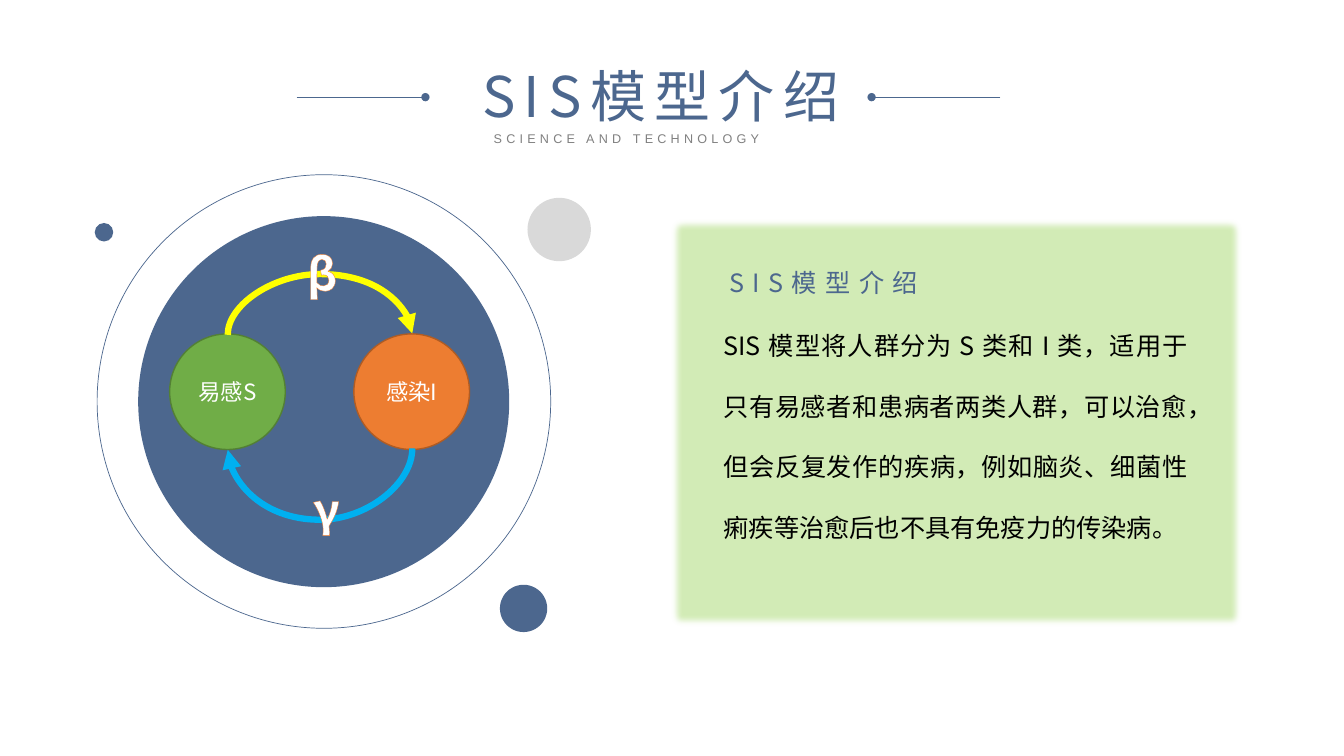
from lxml import etree
from pptx import Presentation
from pptx.dml.color import RGBColor
from pptx.enum.shapes import MSO_CONNECTOR, MSO_SHAPE
from pptx.enum.text import MSO_ANCHOR, PP_ALIGN
from pptx.oxml.ns import qn
from pptx.util import Pt

RECTANGLE, OVAL = MSO_SHAPE.RECTANGLE, MSO_SHAPE.OVAL
STRAIGHT, CURVE = MSO_CONNECTOR.STRAIGHT, MSO_CONNECTOR.CURVE
LEFT, CENTER, JUSTIFY = PP_ALIGN.LEFT, PP_ALIGN.CENTER, PP_ALIGN.JUSTIFY
TOP, MIDDLE = MSO_ANCHOR.TOP, MSO_ANCHOR.MIDDLE
CJK = "Noto Sans CJK SC"
COLORS = {
    "navy": "4C678E", "grey": "808080", "silver": "D9D9D9", "lime": "92D050",
    "green": "70AD47", "green edge": "538035", "orange": "ED7D31",
    "orange edge": "AF5C24", "yellow": "FFFF00", "blue": "00B0F0",
    "white": "FFFFFF", "black": "000000",
}


def color(name):
    return RGBColor.from_string(COLORS[name])


def write(shape, text, size, ink, align=CENTER, face=CJK, spacing=0, bold=False):
    """Put one formatted paragraph into a shape and return its run."""
    para = shape.text_frame.paragraphs[0]
    para.alignment = align
    span = para.add_run()
    span.text = text
    for name, value in {"size": Pt(size), "name": face, "bold": bold}.items():
        setattr(span.font, name, value)
    span.font.color.rgb = color(ink)
    properties = span.font._element
    properties.set("spc", str(spacing * 100))
    etree.SubElement(properties, qn("a:ea"), typeface=face)
    return span


deck = Presentation()
deck.slide_width, deck.slide_height = Pt(960), Pt(540)
page = deck.slides.add_slide(deck.slide_layouts[5])
shapes = page.shapes

# Title
title = shapes.title
place = {"left": 288, "top": 40.3, "width": 368, "height": 55.7}
for name, value in place.items():
    setattr(title, name, Pt(value))
frame_format = {"vertical_anchor": TOP, "word_wrap": True}
for name, value in frame_format.items():
    setattr(title.text_frame, name, value)
write(title, "SIS模型介绍", 40, "navy", spacing=6)

# Panel behind the description
panel = shapes.add_shape(RECTANGLE, Pt(477.4), Pt(154.8), Pt(411.1), Pt(294.5))
panel.shadow.inherit = False
panel.fill.solid()
panel.fill.fore_color.rgb = color("lime")
panel.line.fill.background()
panel_color = panel._element.spPr.find(".//" + qn("a:srgbClr"))
etree.SubElement(panel_color, qn("a:alpha"), val="41000")
panel_effects = panel._element.spPr.find(qn("a:effectLst"))
etree.SubElement(panel_effects, qn("a:softEdge"), rad="63500")

# Circles: left, top, diameter, fill, line, line width, label
circles = [
    (69.4, 124.8, 324, None, "navy", 0.5, ""),
    (98.7, 154.4, 265, "navy", None, 0, ""),
    (376.8, 141.3, 45.3, "silver", None, 0, ""),
    (67.7, 159.3, 13.2, "navy", None, 0, ""),
    (357.1, 417.7, 33.8, "navy", None, 0, ""),
    (121.2, 238.5, 82.6, "green", "green edge", 1, "易感S"),
    (252.8, 238.5, 82.6, "orange", "orange edge", 1, "感染I"),
]
for left, top, diameter, fill, edge, width, label in circles:
    circle = shapes.add_shape(OVAL, Pt(left), Pt(top), Pt(diameter), Pt(diameter))
    circle.shadow.inherit = False
    if fill:
        circle.fill.solid()
        circle.fill.fore_color.rgb = color(fill)
    else:
        circle.fill.background()
    if edge:
        circle.line.color.rgb = color(edge)
        circle.line.width = Pt(width)
    else:
        circle.line.fill.background()
    if label:
        circle.text_frame.vertical_anchor = MIDDLE
        write(circle, label, 16, "white")

# Title rules and transition arcs: an arc is a 1 pt wide curve turned by 90°,
# and its bulge is given in hundred-thousandths of that width
connectors = [
    (STRAIGHT, (211.9, 69.4, 303.9, 69.4), "navy", 0.5, "oval", None),
    (STRAIGHT, (714.5, 69.4, 622.6, 69.4), "navy", 0.5, "oval", None),
    (CURVE, (229.1, 304.6, 228.1, 172.8), "yellow", 4.5, "triangle", 4376800),
    (CURVE, (228.1, 254.9, 229.1, 386.7), "blue", 4.5, "triangle", 5134700),
]
for kind, ends, ink, width, head, bulge in connectors:
    connector = shapes.add_connector(kind, *[Pt(value) for value in ends])
    connector.line.color.rgb = color(ink)
    connector.line.width = Pt(width)
    properties = connector._element.spPr
    etree.SubElement(properties.find(qn("a:ln")), qn("a:tailEnd"), type=head)
    etree.SubElement(properties, qn("a:effectLst"))
    if bulge:
        properties.find(qn("a:xfrm")).set("rot", "5400000")
        guides = properties.find(qn("a:prstGeom")).find(qn("a:avLst"))
        etree.SubElement(guides, qn("a:gd"), name="adj1", fmla=f"val {bulge}")

# Text boxes: left, top, width, height, wrap, line spacing, text and its format
description = (
    "SIS 模型将人群分为 S 类和 I 类，适用于只有易感者和患病者两类人群，可以治愈，"
    "但会反复发作的疾病，例如脑炎、细菌性痢疾等治愈后也不具有免疫力的传染病。"
)
rate = {"size": 32, "ink": "white", "bold": True}
texts = [
    (345.6, 90, 269.3, 18, True, 1, "SCIENCE AND TECHNOLOGY",
     {"size": 9, "ink": "grey", "align": JUSTIFY, "face": "Arial", "spacing": 3}),
    (212.4, 172.1, 33.1, 46, False, 1, "β", rate),
    (216.7, 340.6, 23.8, 46, True, 1, "γ", {**rate, "align": LEFT}),
    (509.8, 211, 345.6, 175.7, True, 2, description,
     {"size": 18, "ink": "black", "align": JUSTIFY}),
    (320.4, 187.2, 535.7, 29, True, 1, "SIS模型介绍",
     {"size": 18, "ink": "navy", "spacing": 6}),
]
for left, top, width, height, wrap, line_spacing, text, style in texts:
    box = shapes.add_textbox(Pt(left), Pt(top), Pt(width), Pt(height))
    box.text_frame.word_wrap = wrap
    span = write(box, text, **style)
    box.text_frame.paragraphs[0].line_spacing = line_spacing
    if style["size"] == rate["size"]:
        outline = etree.Element(qn("a:ln"), w="6600")
        outline_fill = etree.SubElement(outline, qn("a:solidFill"))
        etree.SubElement(outline_fill, qn("a:srgbClr"), val=COLORS["orange"])
        span.font._element.insert(0, outline)

deck.save("out.pptx")
